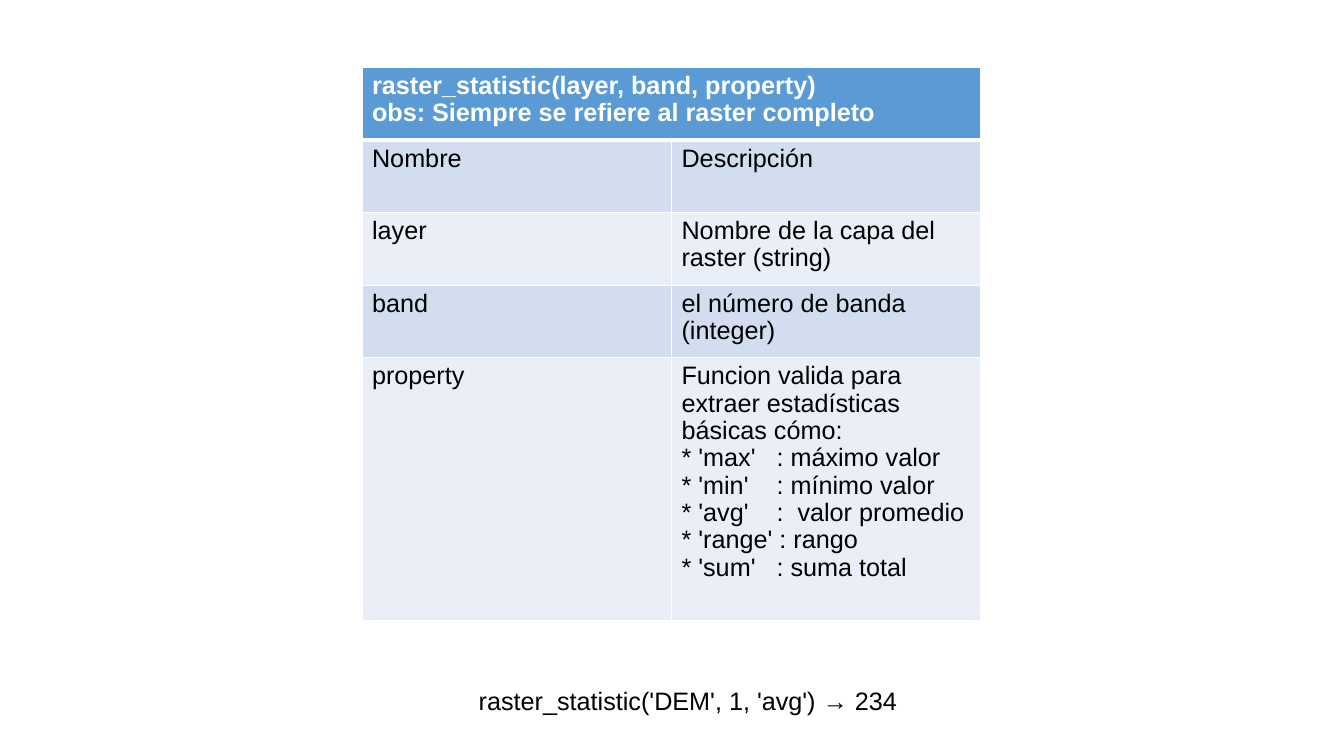
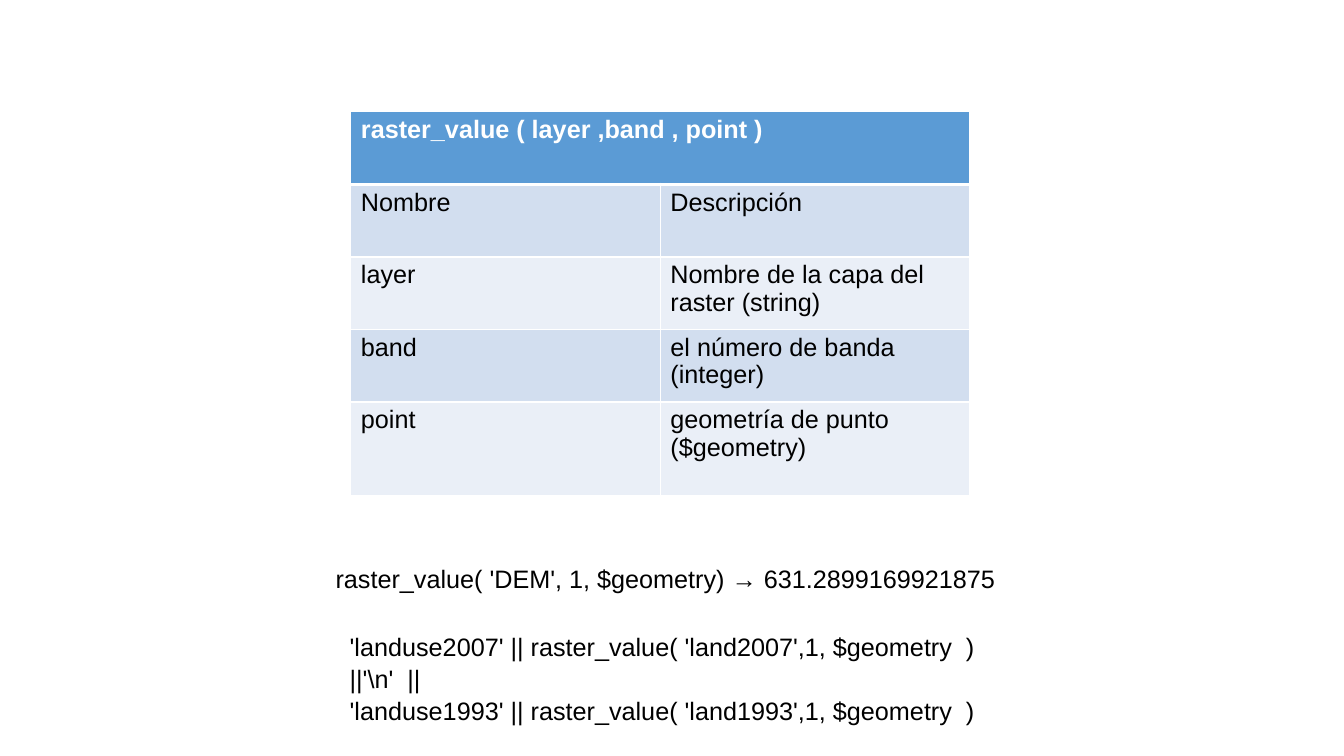
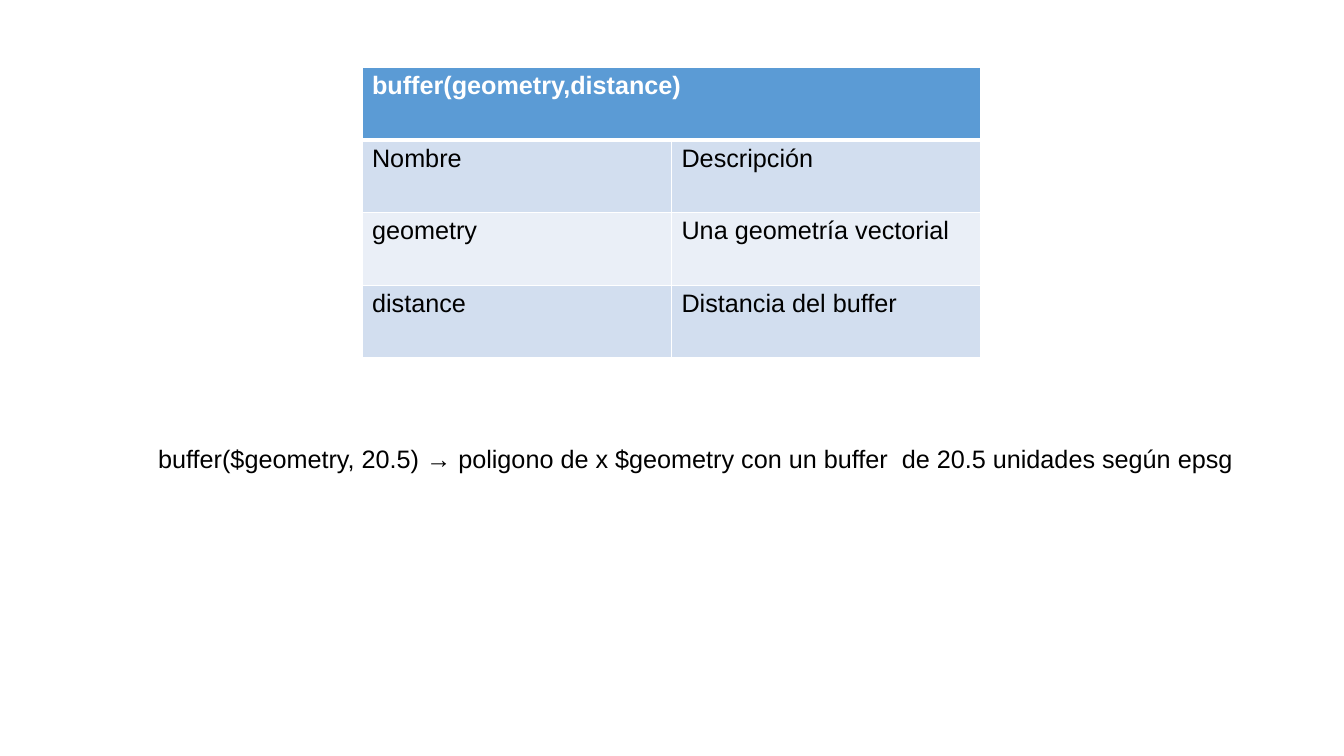
from lxml.etree import SubElement
from pptx import Presentation
from pptx.dml.color import RGBColor
from pptx.oxml import parse_xml
from pptx.oxml.ns import nsdecls
from pptx.util import Inches, Pt

# Shared look
WHITE = RGBColor(0xFF, 0xFF, 0xFF)
BLACK = RGBColor(0, 0, 0)
HEAD = RGBColor(0x5B, 0x9B, 0xD5)
BANDS = [RGBColor(0xEA, 0xEF, 0xF7), RGBColor(0xD2, 0xDE, 0xEF)]
FONT, SIZE = "Arial", Pt(18)
COL, ROW = 3.07, 0.72
TITLES = ("Nombre", "Descripción")
LAYER = ("layer", "Nombre de la capa del raster (string)")
BAND = ("band", "el número de banda (integer)")


def write(frame, text, color=BLACK, bold=False, space=1.0):
    frame.word_wrap = True
    frame.text = text
    for para in frame.paragraphs:
        para.line_spacing = space
        font = para.font
        font.name, font.size, font.bold = FONT, SIZE, bold
        font.color.rgb = color


def border(cell, row):
    """White edges, thicker between the heading and the rows below."""
    widths = {"L": 1, "R": 1, "T": 3 if row == 1 else 1, "B": 3 if row == 0 else 1}
    props = cell._tc.get_or_add_tcPr()
    for spot, (side, width) in enumerate(widths.items()):
        line = parse_xml(f'<a:ln{side} {nsdecls("a")} w="{Pt(width)}">'
                         f'<a:solidFill><a:srgbClr val="{WHITE}"/></a:solidFill>'
                         f'</a:ln{side}>')
        props.insert(spot, line)


def add_grid(slide, left, top, title, args, last=ROW):
    """Function signature on top, then one row per argument."""
    rows = [(title, ""), TITLES, *args]
    tall = [ROW] * (len(rows) - 1) + [last]
    grid = slide.shapes.add_table(len(rows), 2, Inches(left), Inches(top),
                                  Inches(2 * COL), Inches(sum(tall))).table
    for col in grid.columns:
        col.width = Inches(COL)
    for r, texts in enumerate(rows):
        grid.rows[r].height = Inches(tall[r])
        for c, text in enumerate(texts):
            cell = grid.cell(r, c)
            cell.fill.solid()
            cell.fill.fore_color.rgb = BANDS[r % 2] if r else HEAD
            write(cell.text_frame, text, BLACK if r else WHITE, r == 0, 0.97)
            border(cell, r)
    grid.cell(0, 0).merge(grid.cell(0, 1))


def add_code(slide, left, top, width, text, height=0.4):
    """Sample call with its result."""
    box = slide.shapes.add_textbox(Inches(left), Inches(top),
                                   Inches(width), Inches(height))
    write(box.text_frame, text, space=1.05)


def main():
    deck = Presentation()
    deck.slide_width, deck.slide_height = Inches(13.33), Inches(7.5)
    stats, value, buffer = (deck.slides.add_slide(deck.slide_layouts[6])
                            for _ in range(3))

    # Raster statistics
    add_grid(stats, 3.59, 0.67,
             "raster_statistic(layer, band, property)\n"
             "obs: Siempre se refiere al raster completo",
             [LAYER, BAND,
              ("property",
               "Funcion valida para extraer estadísticas básicas cómo:\n"
               "* 'max'   : máximo valor\n"
               "* 'min'    : mínimo valor\n"
               "* 'avg'    :  valor promedio\n"
               "* 'range' : rango\n"
               "* 'sum'   : suma total")], last=2.61)
    add_code(stats, 4.65, 6.73, 4.53, "raster_statistic('DEM', 1, 'avg') → 234")

    # Raster value at a point
    add_grid(value, 3.48, 1.11, "raster_value ( layer ,band , point )",
             [LAYER, BAND, ("point", "geometría de punto ($geometry)")], last=0.93)
    add_code(value, 3.23, 5.52, 6.98,
             "raster_value( 'DEM', 1, $geometry) → 631.2899169921875")
    add_code(value, 3.37, 6.2, 7.03,
             "'landuse2007' || raster_value( 'land2007',1, $geometry  )\n"
             "||'\\n'  ||\n"
             "'landuse1993' || raster_value( 'land1993',1, $geometry  )", 1.01)

    # Buffer
    add_grid(buffer, 3.59, 0.67, "buffer(geometry,distance)",
             [("geometry", "Una geometría vectorial"),
              ("distance", "Distancia del buffer")])
    add_code(buffer, 1.47, 4.33, 11.41,
             "buffer($geometry, 20.5) → poligono de x $geometry con un buffer"
             "  de 20.5 unidades según epsg")

    deck.save("out.pptx")


main()
